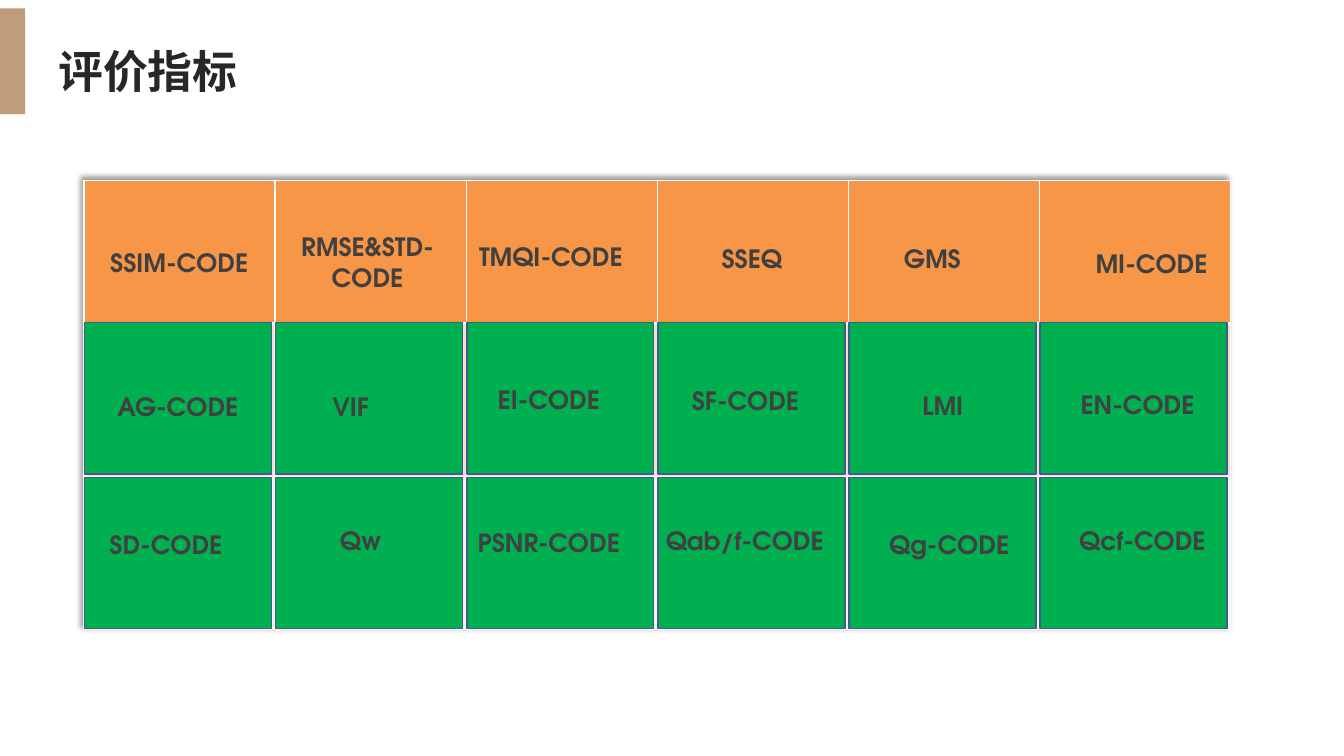
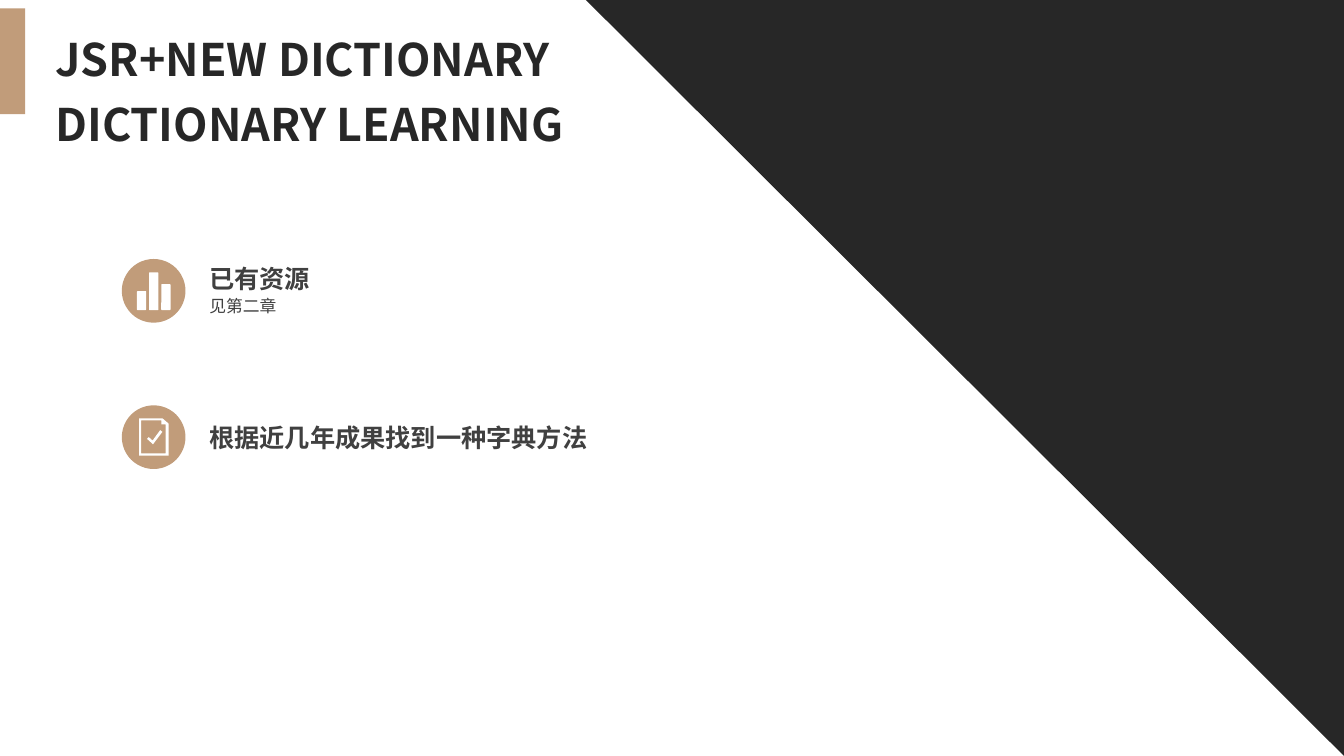
from dataclasses import dataclass

import lxml.etree
import pptx
import pptx.dml.color
import pptx.enum.shapes
import pptx.enum.text
import pptx.oxml.ns
import pptx.util

Pt = pptx.util.Pt
qn = pptx.oxml.ns.qn
Kind = pptx.enum.shapes.MSO_SHAPE
CENTER = pptx.enum.text.PP_ALIGN.CENTER


@dataclass(frozen=True)
class Theme:
    tan: str = "C19C7A"
    dark: str = "272727"
    grey: str = "404040"
    white: str = "FFFFFF"
    green: str = "00B050"
    tile_line: str = "3A5F8C"
    row_fills: tuple = ("F79646", "FCDDCF", "FDEFE9")
    east_asian_font: str = "Noto Sans CJK SC"
    label_font: str = "TeX Gyre Adventor"
    heading_font: str = "Calibri"
    note_font: str = "Arial"
    title_size: float = 32
    body_size: float = 18
    note_size: float = 12


THEME = Theme()

COLUMNS = 6
TABLE_LEFT, TABLE_TOP, COLUMN_WIDTH = 60, 129, 136.5
ROW_HEIGHTS = (102, 109.25, 109.25)
TILE_LEFT, TILE_TOP, TILE_WIDTH, TILE_HEIGHT = 60.5, 230.5, 133.5, 108
TILE_ROW_PITCH = 110.5
LABEL_WIDTH, LABEL_HEIGHT = 168, 29

# Text, left and top of each metric label
METRICS = (
    ("SSIM-CODE", 44, 173),
    ("TMQI-CODE", 309.5, 168.5),
    ("SSEQ", 453, 170),
    ("GMS", 582, 170),
    ("MI-CODE", 738.5, 173.5),
    ("AG-CODE", 43, 276),
    ("VIF", 166.5, 276),
    ("EI-CODE", 308, 271),
    ("SF-CODE", 448.5, 272),
    ("LMI", 589.5, 275),
    ("EN-CODE", 728.5, 274.5),
    ("SD-CODE", 34.5, 374.5),
    ("Qw", 173.5, 371.5),
    ("PSNR-CODE", 308, 373),
    ("Qab/f-CODE", 448, 372),
    ("Qg-CODE", 594, 374.5),
    ("Qcf-CODE", 732, 371.5),
)


def rgb(color):
    return pptx.dml.color.RGBColor.from_string(color)


def paint(shape, fill, line=None):
    shape.shadow.inherit = False
    shape.fill.solid()
    shape.fill.fore_color.rgb = rgb(fill)
    if line:
        shape.line.color.rgb = rgb(line)
        shape.line.width = Pt(1)
    else:
        shape.line.fill.background()


def add_shape(slide, kind, left, top, width, height, fill, line=None):
    shape = slide.shapes.add_shape(kind, Pt(left), Pt(top), Pt(width), Pt(height))
    paint(shape, fill, line)
    return shape


def add_outline(slide, contours, fill):
    """Draw closed contours as one shape; a contour inside another is a hole."""
    builder = None
    for contour in contours:
        points = [(Pt(x), Pt(y)) for x, y in contour]
        if builder is None:
            builder = slide.shapes.build_freeform(*points[0], scale=1.0)
        else:
            builder.move_to(*points[0])
        builder.add_line_segments(points[1:], close=True)
    paint(builder.convert_to_shape(), fill)


def add_text(slide, text, left, top, width, height, font, size=THEME.body_size,
             color=THEME.grey, bold=True, align=None, spacing=None):
    box = slide.shapes.add_textbox(Pt(left), Pt(top), Pt(width), Pt(height))
    frame = box.text_frame
    frame.word_wrap = True
    frame.auto_size = pptx.enum.text.MSO_AUTO_SIZE.SHAPE_TO_FIT_TEXT
    para = frame.paragraphs[0]
    para.alignment = align
    para.line_spacing = spacing
    span = para.add_run()
    span.text = text
    span.font.size = Pt(size)
    span.font.bold = bold
    span.font.color.rgb = rgb(color)
    span.font.name = font
    east_asian = lxml.etree.SubElement(span.font._element, qn("a:ea"))
    east_asian.set("typeface", THEME.east_asian_font)


def add_title(slide, text, left, top, width, height):
    """Add the title and the tan band at the slide's left edge."""
    add_shape(slide, Kind.RECTANGLE, 0, 6, 18, 75.5, THEME.tan)
    add_text(slide, text, left, top, width, height, THEME.east_asian_font,
             THEME.title_size, THEME.dark, spacing=1.2)


def add_heading(slide, text, top, width):
    add_text(slide, text, 142.5, top, width, 31.5, THEME.heading_font, spacing=1.2)


def add_solid_fill(parent, color):
    fill = lxml.etree.SubElement(parent, qn("a:solidFill"))
    value = lxml.etree.SubElement(fill, qn("a:srgbClr"))
    value.set("val", color)
    return value


def style_cell(cell, fill, bottom_width):
    properties = cell._tc.get_or_add_tcPr()
    for side, width in (("L", 1), ("R", 1), ("T", 1), ("B", bottom_width)):
        border = lxml.etree.SubElement(properties, qn("a:ln" + side))
        border.set("w", str(Pt(width)))
        add_solid_fill(border, THEME.white)
    cell.fill.solid()
    cell.fill.fore_color.rgb = rgb(fill)


def add_table_shadow(table):
    """Cast a soft shadow towards the upper left."""
    effects = lxml.etree.Element(qn("a:effectLst"))
    shadow = lxml.etree.SubElement(effects, qn("a:outerShdw"))
    for name, value in (("blurRad", Pt(4)), ("dist", Pt(3)),
                        ("dir", 13500000), ("algn", "br"), ("rotWithShape", 0)):
        shadow.set(name, str(value))
    color = lxml.etree.SubElement(shadow, qn("a:srgbClr"))
    color.set("val", "000000")
    lxml.etree.SubElement(color, qn("a:alpha")).set("val", "40000")
    table._tbl.tblPr.insert(0, effects)


def add_metric_table(slide):
    frame = slide.shapes.add_table(
        len(ROW_HEIGHTS), COLUMNS, Pt(TABLE_LEFT), Pt(TABLE_TOP),
        Pt(COLUMNS * COLUMN_WIDTH), Pt(sum(ROW_HEIGHTS)))
    table = frame.table
    table.horz_banding = False
    for column in table.columns:
        column.width = Pt(COLUMN_WIDTH)
    for index, (row, height) in enumerate(zip(table.rows, ROW_HEIGHTS)):
        row.height = Pt(height)
        for cell in row.cells:
            style_cell(cell, THEME.row_fills[index], 3 if index == 0 else 1)
    add_table_shadow(table)


def add_tiles(slide):
    for row in range(2):
        for column in range(COLUMNS):
            add_shape(slide, Kind.RECTANGLE, TILE_LEFT + column * COLUMN_WIDTH,
                      TILE_TOP + row * TILE_ROW_PITCH, TILE_WIDTH, TILE_HEIGHT,
                      THEME.green, THEME.tile_line)


def add_metric_label(slide, text, left, top, width=LABEL_WIDTH, height=LABEL_HEIGHT):
    add_text(slide, text, left, top, width, height, THEME.label_font, align=CENTER)


def add_badge(slide, top):
    add_shape(slide, Kind.OVAL, 87, top, 45.5, 45.5, THEME.tan)


def add_bars_icon(slide):
    add_badge(slide, 185)
    baseline = 221.5
    for index, height in enumerate((13.5, 27, 18.5)):
        bar = add_shape(slide, Kind.ROUNDED_RECTANGLE, 97.8 + index * 8.7,
                        baseline - height, 6.6, height, THEME.white)
        bar.adjustments[0] = 0.08


def add_checked_page_icon(slide):
    add_badge(slide, 289.5)
    page_edge = ((99.4, 298.8), (116, 298.8), (120.4, 302.6),
                 (120.4, 325.4), (99.4, 325.4))
    page_inside = ((100.9, 300.3), (100.9, 323.9), (118.3, 323.9),
                   (118.3, 303.2), (115.3, 303.2), (115.3, 300.3))
    check_mark = ((114.4, 307.3), (116, 308.5), (109.3, 317.4),
                  (105, 313.5), (106.3, 312.3), (109, 314.7))
    add_outline(slide, (page_edge, page_inside, check_mark), THEME.white)


def build_metrics_slide(slide):
    add_title(slide, "评价指标", 34.5, 20, 287, 50)
    add_metric_table(slide)
    add_tiles(slide)
    add_metric_label(slide, "RMSE&STD-CODE", 190, 162, 145, 51)
    for text, left, top in METRICS:
        add_metric_label(slide, text, left, top)


def build_dictionary_slide(slide):
    add_outline(slide, (((960, 0), (418.5, 0), (960, 540)),), THEME.dark)
    add_title(slide, "JSR+NEW DICTIONARY DICTIONARY LEARNING", 32.5, 11.5, 494, 96.5)
    add_bars_icon(slide)
    add_heading(slide, "已有资源", 180, 197)
    add_text(slide, "见第二章", 142.5, 207.5, 413, 21.5, THEME.note_font,
             THEME.note_size, bold=False)
    add_checked_page_icon(slide)
    add_heading(slide, "根据近几年成果找到一种字典方法", 294, 338.5)


def main():
    deck = pptx.Presentation()
    deck.slide_width, deck.slide_height = Pt(960), Pt(540)
    blank = deck.slide_layouts[6]
    for build in (build_metrics_slide, build_dictionary_slide):
        build(deck.slides.add_slide(blank))
    deck.save("out.pptx")


if __name__ == "__main__":
    main()
